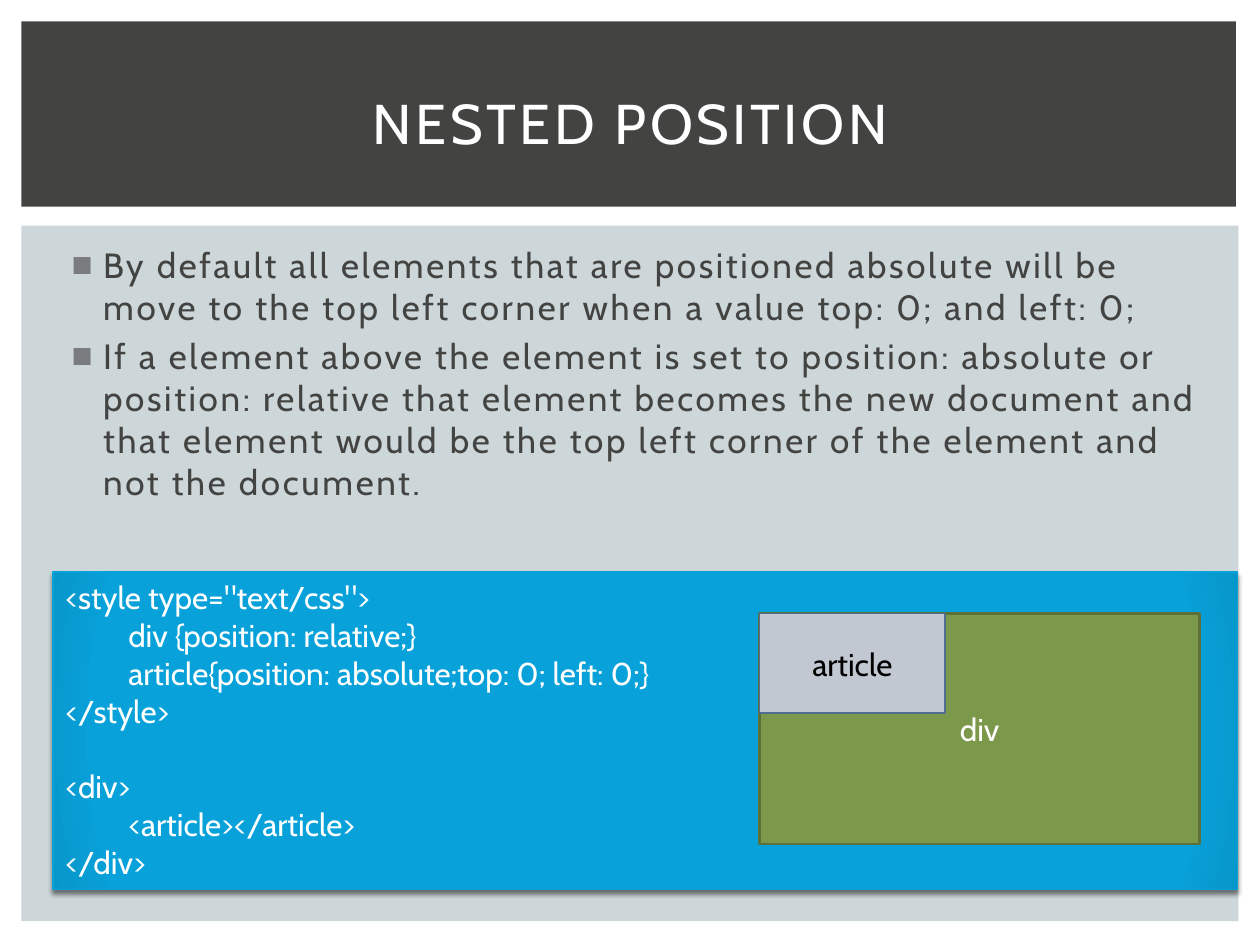
from lxml import etree
from pptx import Presentation
from pptx.dml.color import RGBColor
from pptx.enum.shapes import MSO_SHAPE
from pptx.enum.text import MSO_ANCHOR, PP_ALIGN
from pptx.oxml.ns import qn
from pptx.util import Inches, Pt

RECTANGLE = MSO_SHAPE.RECTANGLE
TOP, MIDDLE = MSO_ANCHOR.TOP, MSO_ANCHOR.MIDDLE
LEFT, CENTER = PP_ALIGN.LEFT, PP_ALIGN.CENTER
FONT = "Cabin"
WHITE, CHARCOAL, BLUE = "FFFFFF", "434342", "08A1D9"
CODE_LINE_HEIGHT = 21.7
BULLETS = [
    "By default all elements that are positioned absolute will be move to "
    "the top left corner when a value top: 0; and left: 0;",
    "If a element above the element is set to position: absolute or "
    "position: relative that element becomes the new document and that "
    "element would be the top left corner of the element and not the document.",
]
STYLE_CODE = [
    '<style type="text/css">',
    "\tdiv {position: relative;}",
    "\tarticle{position: absolute;top: 0; left: 0;}",
    "</style>",
]
MARKUP_CODE = ["<div>", "\t<article></article>", "</div>"]


def color(value):
    """Return the colour for a hex string."""
    return RGBColor.from_string(value)


def add_node(parent, tag, **attributes):
    """Append a drawing element with the given attributes."""
    node = etree.SubElement(parent, qn(tag))
    for name, value in attributes.items():
        node.set(name, str(value))
    return node


def add_panel(page, left, top, width, height, fill, line=None, weight=0.79):
    """Add a flat rectangle with an optional outline."""
    panel = page.shapes.add_shape(
        RECTANGLE, Inches(left), Inches(top), Inches(width), Inches(height)
    )
    panel.shadow.inherit = False
    panel.fill.solid()
    panel.fill.fore_color.rgb = color(fill)
    if line:
        panel.line.color.rgb = color(line)
        panel.line.width = Pt(weight)
    else:
        panel.line.fill.background()
    return panel


def add_text_box(page, left, top, width, height):
    """Add an empty text box."""
    return page.shapes.add_textbox(
        Inches(left), Inches(top), Inches(width), Inches(height)
    )


def write_text(box, lines, size, ink, align=LEFT, anchor=TOP, spacing=0):
    """Write one paragraph per line and format its runs."""
    frame = box.text_frame
    frame.word_wrap = True
    frame.vertical_anchor = anchor
    frame.text = "\n".join(lines)
    for para in frame.paragraphs:
        para.alignment = align
        for span in para.runs:
            span.font.name = FONT
            span.font.size = Pt(size)
            span.font.color.rgb = color(ink)
            if spacing:
                span.font._element.set("spc", str(int(spacing * 100)))


def add_bullet(para):
    """Give a paragraph a hanging square bullet."""
    para.space_before = Pt(4)
    properties = para._p.get_or_add_pPr()
    properties.set("marL", str(Inches(0.3)))
    properties.set("indent", str(Inches(-0.25)))
    add_node(add_node(properties, "a:buClr"), "a:srgbClr", val="797B7E")
    add_node(properties, "a:buFont", typeface="Arial")
    add_node(properties, "a:buChar", char="■")


def set_radial_fill(panel, stops):
    """Replace a solid fill by a circular gradient."""
    properties = panel._element.spPr
    gradient = etree.Element(qn("a:gradFill"), rotWithShape="1")
    stop_list = add_node(gradient, "a:gsLst")
    for percent, value in stops:
        stop = add_node(stop_list, "a:gs", pos=percent * 1000)
        add_node(stop, "a:srgbClr", val=value)
    path = add_node(gradient, "a:path", path="circle")
    add_node(path, "a:fillToRect", l=100000, t=100000, r=100000, b=100000)
    properties.replace(properties.find(qn("a:solidFill")), gradient)


def add_shadow(panel, blur, distance, opacity):
    """Add a black shadow falling straight down."""
    effects = panel._element.spPr.find(qn("a:effectLst"))
    shadow = add_node(effects, "a:outerShdw", blurRad=Pt(blur), dist=Pt(distance),
                      dir=90 * 60000, algn="ctr", rotWithShape=0)
    ink = add_node(shadow, "a:srgbClr", val="000000")
    add_node(ink, "a:alpha", val=opacity * 1000)


def add_code_panel(page):
    """Add the blue panel with the code sample."""
    panel = add_panel(page, 0.42, 4.54, 9.4, 2.52, BLUE, BLUE)
    set_radial_fill(panel, [(0, BLUE), (90, BLUE), (100, "0796CA")])
    add_shadow(panel, 2.5, 2, 50)
    write_text(panel, STYLE_CODE + MARKUP_CODE, 18, WHITE)
    first_markup = panel.text_frame.paragraphs[len(STYLE_CODE)]
    first_markup.space_before = Pt(CODE_LINE_HEIGHT)


def add_nested_boxes(page):
    """Add the article box in the top left corner of the div box."""
    left, top = 6.03, 4.87
    outer = add_panel(page, left, top, 3.49, 1.83, "7C984A", "5C7037", 1.5)
    write_text(outer, ["div"], 18, WHITE, CENTER, MIDDLE)
    inner = add_panel(page, left, top, 1.47, 0.79, "C2C8D2", "506E94")
    write_text(inner, ["article"], 18, "000000", CENTER, MIDDLE)


def main():
    """Build the slide and save it."""
    deck = Presentation()
    deck.slide_width, deck.slide_height = Inches(10), Inches(7.5)
    page = deck.slides.add_slide(deck.slide_layouts[6])
    add_panel(page, 0.17, 1.79, 9.66, 5.52, "CDD7D9")
    add_panel(page, 0.17, 0.17, 9.64, 1.47, CHARCOAL)
    body = add_text_box(page, 0.42, 1.88, 9.19, 4.82)
    write_text(body, BULLETS, 20, CHARCOAL, spacing=1.5)
    for para in body.text_frame.paragraphs:
        add_bullet(para)
    title = add_text_box(page, 0.42, 0.39, 9.17, 1.15)
    write_text(title, ["NESTED POSITION"], 32, WHITE, CENTER, MIDDLE, 2)
    add_code_panel(page)
    add_nested_boxes(page)
    deck.save("out.pptx")


if __name__ == "__main__":
    main()
